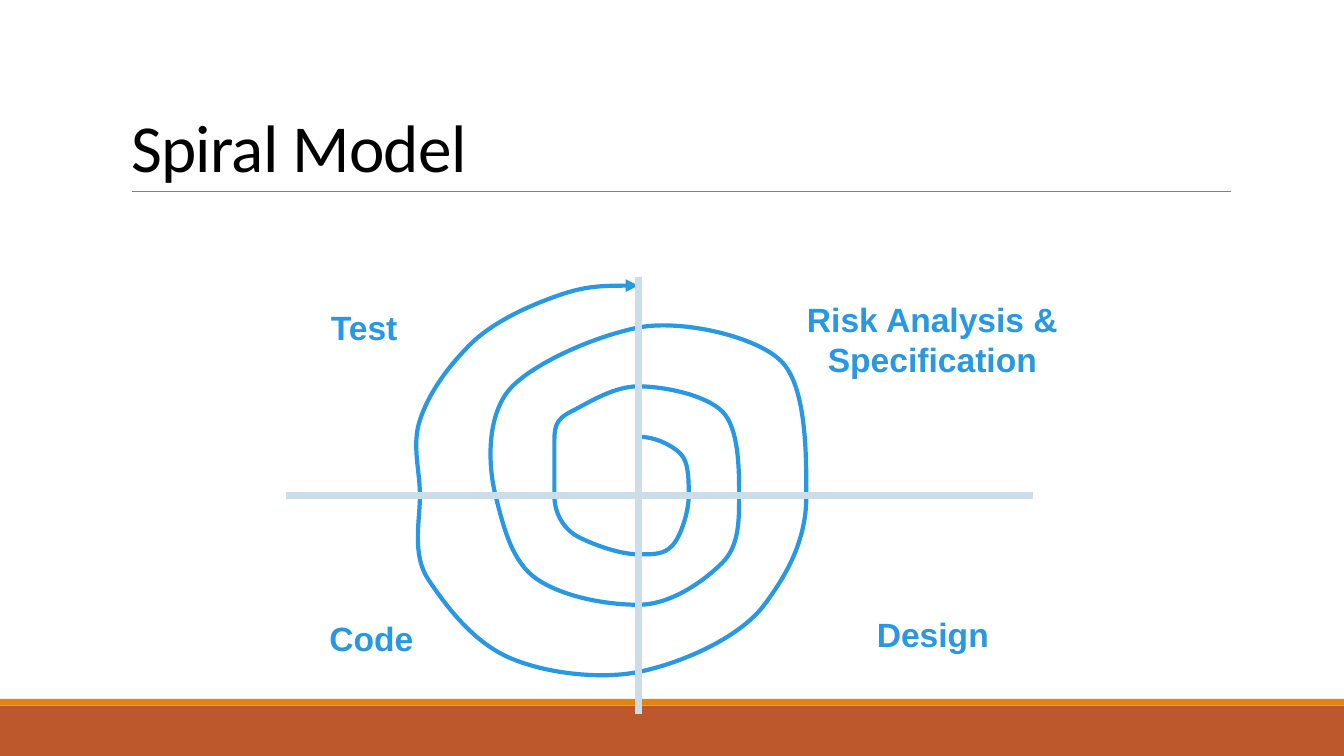
from dataclasses import dataclass
from itertools import chain

import lxml.etree
import pptx
import pptx.dml.color
import pptx.enum.shapes
import pptx.enum.text
import pptx.oxml.ns
import pptx.util

RGBColor = pptx.dml.color.RGBColor
BLACK = RGBColor(0x00, 0x00, 0x00)
GRAY = RGBColor(0x80, 0x80, 0x80)
RUST = RGBColor(0xBD, 0x58, 0x2C)
ORANGE = RGBColor(0xE4, 0x83, 0x12)
BLUE = RGBColor(0x29, 0x98, 0xE3)
PALE_BLUE = RGBColor(0xCC, 0xDD, 0xEA)

COLUMNS, ROWS = 160, 90
CENTER_COLUMN, CENTER_ROW = 76, 59
Point = tuple[float, float]


@dataclass(frozen=True)
class Band:
    top: float
    height: float
    color: RGBColor


@dataclass(frozen=True)
class Rule:
    start: Point
    end: Point
    color: RGBColor
    weight: float


@dataclass(frozen=True)
class Phase:
    lines: tuple[str, ...]
    left: float
    top: float
    width: float
    height: float = 6


BANDS = (Band(84, 6, RUST), Band(83.2, 0.8, ORANGE))
TITLE_RULE = Rule((15.75, 22.8), (146.5, 22.8), GRAY, 0.5)
AXES = (
    Rule((CENTER_COLUMN, 33), (CENTER_COLUMN, 85), PALE_BLUE, 4.5),
    Rule((34, CENTER_ROW), (123, CENTER_ROW), PALE_BLUE, 4.5),
)
PHASES = (
    Phase(("Risk Analysis &", "Specification"), 94.7, 35, 32.6, 10.9),
    Phase(("Design",), 103.2, 72.5, 15.7),
    Phase(("Code",), 38, 73, 12.4),
    Phase(("Test",), 38, 36, 10.7),
)
SPIRAL_KNOTS: tuple[Point, ...] = (
    (76, 52), (81, 54), (82, 59), (80, 65), (76, 66), (69, 64), (66, 59), (66, 53),
    (68, 49), (76, 46), (86, 49), (88, 59), (86, 67), (76, 72), (64, 69), (59, 59),
    (61, 46), (76, 39), (93, 43), (96, 59), (91, 72), (76, 80), (60, 78), (51, 69),
    (50, 59), (50, 50), (56, 41), (67, 35), (76, 34),
)


def grid(units: float) -> int:
    return pptx.util.Inches(units / 12)


def add_band(slide, band: Band) -> None:
    bar = slide.shapes.add_shape(
        pptx.enum.shapes.MSO_SHAPE.RECTANGLE,
        0, grid(band.top), grid(COLUMNS), grid(band.height),
    )
    bar.shadow.inherit = False
    bar.fill.solid()
    bar.fill.fore_color.rgb = band.color
    bar.line.fill.background()


def add_rule(slide, rule: Rule) -> None:
    stroke = slide.shapes.add_connector(
        pptx.enum.shapes.MSO_CONNECTOR.STRAIGHT,
        *map(grid, rule.start + rule.end),
    )
    stroke.line.color.rgb = rule.color
    stroke.line.width = pptx.util.Pt(rule.weight)
    lxml.etree.SubElement(stroke._element.spPr, pptx.oxml.ns.qn("a:effectLst"))


def add_heading(slide, wording: str) -> None:
    heading = slide.shapes.title
    heading.left, heading.top = grid(14.4), grid(3.7)
    heading.width, heading.height = grid(132), grid(19.1)
    frame = heading.text_frame
    frame.word_wrap = True
    frame.vertical_anchor = pptx.enum.text.MSO_ANCHOR.BOTTOM
    paragraph = frame.paragraphs[0]
    paragraph.alignment = pptx.enum.text.PP_ALIGN.LEFT
    paragraph.line_spacing = 0.85
    run = paragraph.add_run()
    run.text = wording
    run.font.name = "Calibri"
    run.font.size = pptx.util.Pt(48)
    run.font.color.rgb = BLACK
    run._r.get_or_add_rPr().set("spc", "-50")


def add_phase(slide, phase: Phase) -> None:
    label = slide.shapes.add_textbox(
        *map(grid, (phase.left, phase.top, phase.width, phase.height))
    )
    frame = label.text_frame
    frame.word_wrap = False
    frame.auto_size = pptx.enum.text.MSO_AUTO_SIZE.SHAPE_TO_FIT_TEXT
    for index, wording in enumerate(phase.lines):
        paragraph = frame.add_paragraph() if index else frame.paragraphs[0]
        paragraph.alignment = pptx.enum.text.PP_ALIGN.CENTER
        run = paragraph.add_run()
        run.text = wording
        run.font.name = "Arial"
        run.font.size = pptx.util.Pt(24)
        run.font.bold = True
        run.font.color.rgb = BLUE


def shift(point: Point, before: Point, after: Point, share: float) -> Point:
    return (
        point[0] + (after[0] - before[0]) * share,
        point[1] + (after[1] - before[1]) * share,
    )


def smooth(knots: tuple[Point, ...]) -> list[Point]:
    inner = list(zip(knots, knots[1:], knots[2:]))
    arriving = [shift(knot, before, after, -1 / 6) for before, knot, after in inner]
    leaving = [shift(knot, before, after, 1 / 6) for before, knot, after in inner]
    leaving.insert(0, shift(knots[0], knots[0], arriving[0], 0.5))
    arriving.append(shift(knots[-1], knots[-1], leaving[-1], 0.5))
    return list(chain.from_iterable(zip(leaving, arriving, knots[1:])))


def add_spiral(slide, knots: tuple[Point, ...]) -> None:
    builder = slide.shapes.build_freeform(*knots[0], scale=float(grid(1)))
    builder.add_line_segments(smooth(knots), close=False)
    spiral = builder.convert_to_shape()
    spiral.shadow.inherit = False
    spiral.fill.background()
    spiral.line.color.rgb = BLUE
    spiral.line.width = pptx.util.Pt(3)
    qn = pptx.oxml.ns.qn
    arrowhead = lxml.etree.SubElement(spiral.line._get_or_add_ln(), qn("a:tailEnd"))
    arrowhead.set("type", "triangle")
    route = next(spiral._element.iter(qn("a:path")))
    segments = route.findall(qn("a:lnTo"))
    for first in range(0, len(segments), 3):
        curve = lxml.etree.SubElement(route, qn("a:cubicBezTo"))
        for segment in segments[first:first + 3]:
            curve.append(segment[0])
            route.remove(segment)


def main() -> None:
    presentation = pptx.Presentation()
    presentation.slide_width = grid(COLUMNS)
    presentation.slide_height = grid(ROWS)
    slide = presentation.slides.add_slide(presentation.slide_layouts[5])
    for band in BANDS:
        add_band(slide, band)
    add_rule(slide, TITLE_RULE)
    add_heading(slide, "Spiral Model")
    for phase in PHASES:
        add_phase(slide, phase)
    add_spiral(slide, SPIRAL_KNOTS)
    for axis in AXES:
        add_rule(slide, axis)
    presentation.save("out.pptx")


if __name__ == "__main__":
    main()
